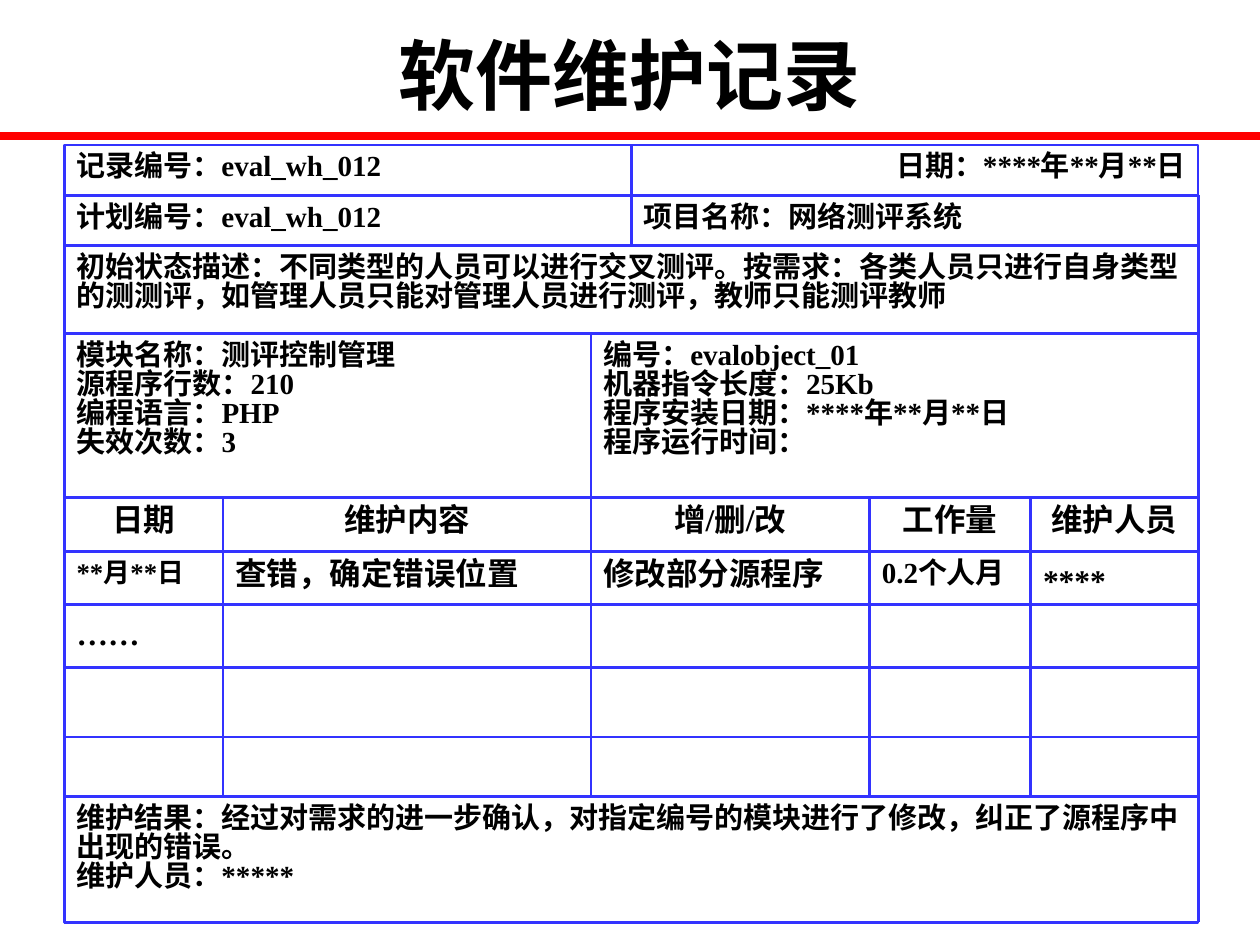
from lxml.etree import SubElement
from pptx import Presentation
from pptx.dml.color import RGBColor
from pptx.enum.shapes import MSO_CONNECTOR, MSO_SHAPE
from pptx.enum.text import MSO_ANCHOR, PP_ALIGN
from pptx.oxml.ns import qn
from pptx.util import Inches, Pt

BLACK = RGBColor(0x00, 0x00, 0x00)
RED = RGBColor(0xFF, 0x00, 0x00)
BLUE = RGBColor(0x33, 0x33, 0xFF)
FONT = "Times New Roman"
BODY, GRID, SMALL = 16.6, 18, 15.3
LEFT, CENTER, RIGHT = PP_ALIGN.LEFT, PP_ALIGN.CENTER, PP_ALIGN.RIGHT

# Content: each row is (height, column edges, cells); a cell is (text, size, alignment)
TITLE = "软件维护记录"
FORM_TOP = 1.15
FORM_LEFT, FORM_RIGHT = 0.51, 9.51
WHOLE = [FORM_LEFT, FORM_RIGHT]
HALVES = [FORM_LEFT, 5.01, FORM_RIGHT]
MODULE = [FORM_LEFT, 4.69, FORM_RIGHT]
COLUMNS = [FORM_LEFT, 1.77, 4.69, 6.9, 8.18, FORM_RIGHT]
EMPTY_CELLS = [("", GRID, LEFT)] * 5

ROWS = [
    (0.4, HALVES, [("记录编号：eval_wh_012", BODY, LEFT),
                   ("日期：****年**月**日", BODY, RIGHT)]),
    (0.4, HALVES, [("计划编号：eval_wh_012", BODY, LEFT),
                   ("项目名称：网络测评系统", BODY, LEFT)]),
    (0.7, WHOLE, [("初始状态描述：不同类型的人员可以进行交叉测评。按需求：各类人员只进行自身类型"
                   "的测测评，如管理人员只能对管理人员进行测评，教师只能测评教师", BODY, LEFT)]),
    (1.3, MODULE, [("模块名称：测评控制管理\n源程序行数：210\n编程语言：PHP\n失效次数：3",
                    BODY, LEFT),
                   ("编号：evalobject_01\n机器指令长度：25Kb\n"
                    "程序安装日期：****年**月**日\n程序运行时间：", BODY, LEFT)]),
    (0.43, COLUMNS, [(text, GRID, CENTER) for text in
                     ("日期", "维护内容", "增/删/改", "工作量", "维护人员")]),
    (0.42, COLUMNS, [("**月**日", SMALL, LEFT), ("查错，确定错误位置", GRID, LEFT),
                     ("修改部分源程序", GRID, LEFT), ("0.2个人月", BODY, LEFT),
                     ("****", GRID, LEFT)]),
    (0.5, COLUMNS, [("……", GRID, LEFT)] + EMPTY_CELLS[1:]),
    (0.55, COLUMNS, EMPTY_CELLS),
    (0.47, COLUMNS, EMPTY_CELLS),
    (1.0, WHOLE, [("维护结果：经过对需求的进一步确认，对指定编号的模块进行了修改，纠正了源程序中"
                   "出现的错误。\n维护人员：*****", BODY, LEFT)]),
]

# Vertical rules of the form: (x, first row, row below the last one)
VERTICAL_RULES = [(FORM_LEFT, 1, 10), (FORM_RIGHT, 1, 10), (5.01, 1, 2), (4.69, 3, 9),
                  (1.77, 4, 9), (6.9, 4, 9), (8.18, 4, 9)]


def write_text(text_frame, text, size=BODY, align=LEFT, anchor=MSO_ANCHOR.TOP, spacing=None):
    text_frame.word_wrap = True
    text_frame.vertical_anchor = anchor
    text_frame.text = text
    for paragraph in text_frame.paragraphs:
        paragraph.alignment = align
        paragraph.line_spacing = spacing
        for run in paragraph.runs:
            run.font.name = FONT
            run.font.size = Pt(size)
            run.font.bold = True
            run.font.color.rgb = BLACK


def add_rule(slide, start, end, color=BLUE, width=1.5):
    rule = slide.shapes.add_connector(
        MSO_CONNECTOR.STRAIGHT, *(Inches(value) for value in (*start, *end)))
    rule.line.color.rgb = color
    rule.line.width = Pt(width)
    SubElement(rule._element.spPr, qn("a:effectLst"))


def add_cell(slide, left, top, width, height, text, size, align):
    cell = slide.shapes.add_shape(
        MSO_SHAPE.RECTANGLE, *(Inches(value) for value in (left, top, width, height)))
    cell.shadow.inherit = False
    cell.fill.background()
    cell.line.color.rgb = BLUE
    cell.line.width = Pt(1.5)
    if text:
        # Chinese lines are set tighter than lines of symbols only
        symbols_only = not set(text) - set("*…")
        cell.text_frame.margin_top = Inches(0.07)
        write_text(cell.text_frame, text, size=size, align=align,
                   spacing=1.0 if symbols_only else 0.83)


presentation = Presentation()
presentation.slide_width, presentation.slide_height = Inches(10), Inches(7.5)
slide = presentation.slides.add_slide(presentation.slide_layouts[5])

# Title with the red rule below it
title = slide.shapes.title
title.left, title.top = Inches(0.75), Inches(0.17)
title.width, title.height = Inches(8.5), Inches(0.83)
write_text(title.text_frame, TITLE, size=44, align=CENTER, anchor=MSO_ANCHOR.MIDDLE)
add_rule(slide, (0, 1.08), (10, 1.08), color=RED, width=4.5)

# Cells of the form
row_edges = [FORM_TOP]
for height, edges, cells in ROWS:
    top = row_edges[-1]
    for left, right, (text, size, align) in zip(edges, edges[1:], cells):
        add_cell(slide, left, top, right - left, height, text, size, align)
    row_edges.append(top + height)

# Rules of the form
for y in row_edges[1:]:
    add_rule(slide, (FORM_LEFT, y), (FORM_RIGHT, y))
for x, first, last in VERTICAL_RULES:
    add_rule(slide, (x, row_edges[first]), (x, row_edges[last]))

presentation.save("out.pptx")
